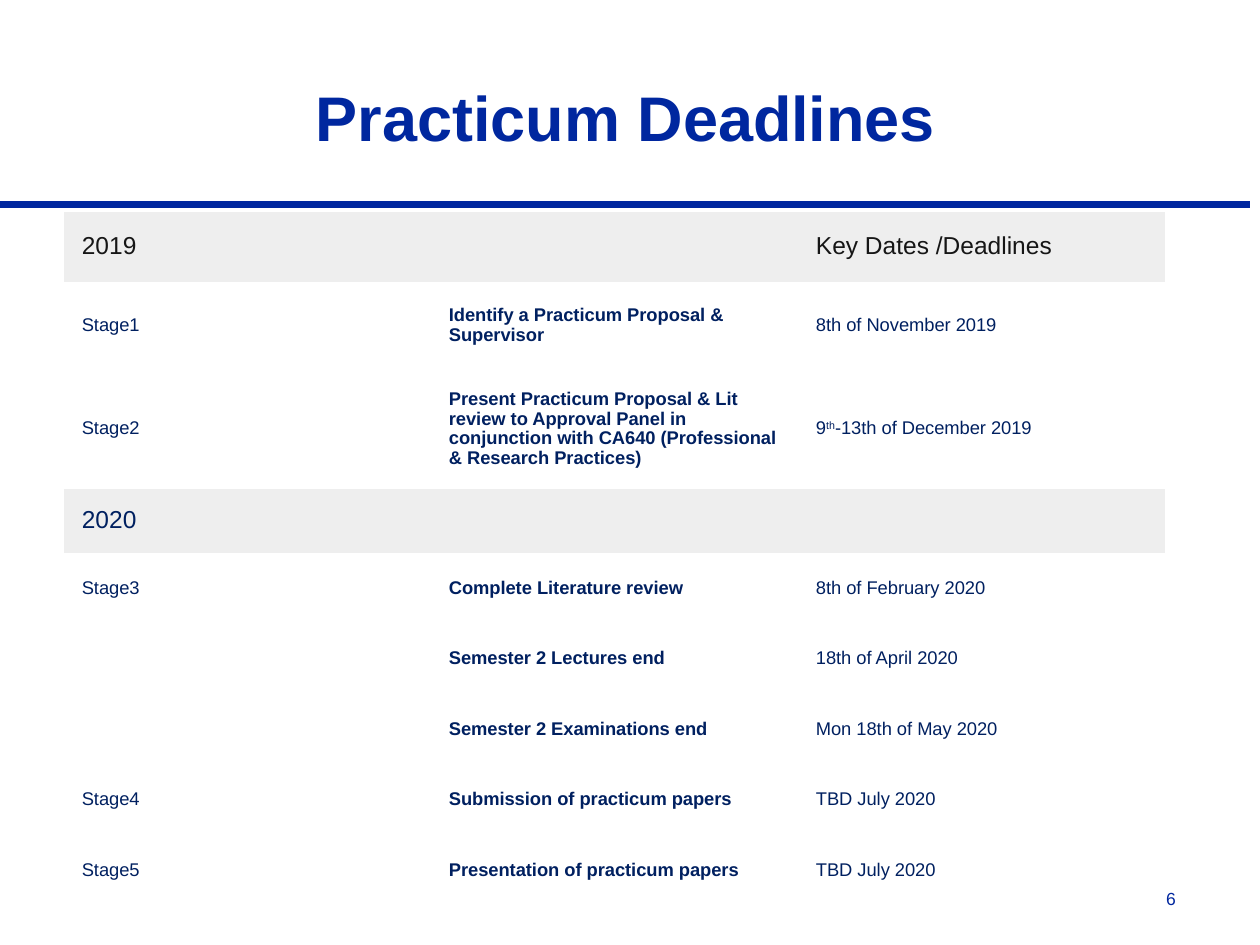
import pptx
import pptx.dml.color
import pptx.enum.shapes
import pptx.enum.text
import pptx.oxml.ns
import pptx.util
from lxml import etree

Inches = pptx.util.Inches
ALIGN = pptx.enum.text.PP_ALIGN
ANCHOR = pptx.enum.text.MSO_ANCHOR
BLUE, NAVY, BLACK = "00279F", "002060", "161616"
GREY, WHITE = "EEEEEE", "FFFFFF"
NO_STYLE_NO_GRID = "{2D5ABB26-0587-4C30-8999-92F81FD0307C}"


def color(value):
    return pptx.dml.color.RGBColor.from_string(value)


def write(frame, text, size=10.5, fill=NAVY, bold=False, align=ALIGN.LEFT, spacing=None):
    """Fill the first paragraph; text between carets is raised."""
    para = frame.paragraphs[0]
    para.alignment = align
    para.line_spacing = spacing
    for index, part in enumerate(text.split("^")):
        span = para.add_run()
        span.text = part
        span.font.name = "Arial"
        span.font.size = pptx.util.Pt(size)
        span.font.bold = bold
        span.font.color.rgb = color(fill)
        if index % 2:
            span.font._element.set("baseline", "30000")


deck = pptx.Presentation()
deck.slide_width, deck.slide_height = Inches(10), Inches(7.5)
page = deck.slides.add_slide(deck.slide_layouts[6])

# Rule under the title
rule = page.shapes.add_connector(
    pptx.enum.shapes.MSO_CONNECTOR.STRAIGHT, 0, Inches(1.62), Inches(9.92), Inches(1.62))
rule.line.color.rgb = color(BLUE)
rule.line.width = pptx.util.Pt(4)
etree.SubElement(rule._element.spPr, pptx.oxml.ns.qn("a:effectLst"))

# Title and page number
title = page.shapes.add_textbox(Inches(0.51), Inches(0.06), Inches(8.91), Inches(1.21))
title.text_frame.word_wrap = True
title.text_frame.vertical_anchor = ANCHOR.BOTTOM
write(title.text_frame, "Practicum Deadlines", size=36, fill=BLUE, bold=True, align=ALIGN.CENTER)

number = page.shapes.add_textbox(Inches(8.94), Inches(7), Inches(0.49), Inches(0.27))
number.text_frame.word_wrap = True
write(number.text_frame, "6", size=10, fill=BLUE, align=ALIGN.RIGHT)

# Deadlines: row height, then stage, task and date
rows = [
    (0.56, "2019", "", "Key Dates /Deadlines"),
    (0.69, "Stage1", "Identify a Practicum Proposal & Supervisor", "8th of November 2019"),
    (0.93, "Stage2", "Present Practicum Proposal & Lit review to Approval Panel in conjunction "
     "with CA640 (Professional & Research Practices)", "9^th^-13th of December 2019"),
    (0.51, "2020", "", ""),
    (0.56, "Stage3", "Complete Literature review", "8th of February 2020"),
    (0.56, "", "Semester 2 Lectures end", "18th of April 2020"),
    (0.56, "", "Semester 2 Examinations end", "Mon 18th of May 2020"),
    (0.56, "Stage4", "Submission of practicum papers", "TBD July 2020"),
    (0.56, "Stage5", "Presentation of practicum papers", "TBD July 2020"),
]
height = sum(row[0] for row in rows)
table = page.shapes.add_table(
    len(rows), 3, Inches(0.51), Inches(1.68), Inches(8.74), Inches(height)).table
table.first_row = table.horz_banding = False
table._tbl.tblPr.find(pptx.oxml.ns.qn("a:tableStyleId")).text = NO_STYLE_NO_GRID

for row_index, (row_height, *texts) in enumerate(rows):
    table.rows[row_index].height = Inches(row_height)
    is_year = texts[0].isdigit()
    for column, text in enumerate(texts):
        cell = table.cell(row_index, column)
        cell.fill.solid()
        cell.fill.fore_color.rgb = color(GREY if is_year else WHITE)
        if not text:
            continue
        cell.vertical_anchor = ANCHOR.MIDDLE
        cell.margin_left = cell.margin_right = Inches(0.14)
        cell.margin_top = cell.margin_bottom = Inches(0.14)
        write(cell.text_frame, text, size=14 if is_year else 10.5,
              fill=BLACK if row_index == 0 else NAVY, bold=column == 1, spacing=0.96)

deck.save("out.pptx")
